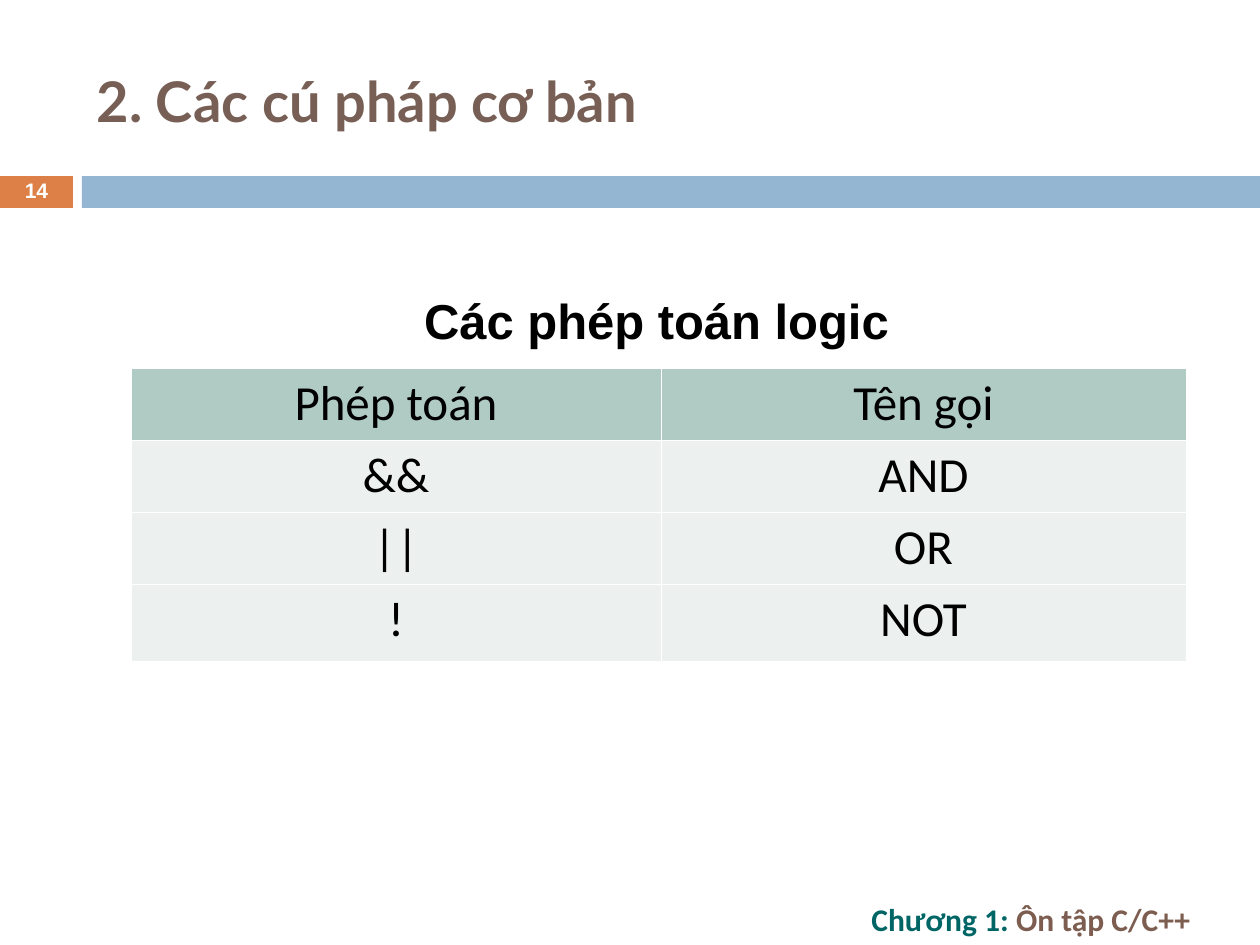
from lxml.etree import SubElement
from pptx import Presentation
from pptx.dml.color import RGBColor
from pptx.enum.shapes import MSO_SHAPE
from pptx.enum.text import MSO_ANCHOR, PP_ALIGN
from pptx.oxml.ns import qn
from pptx.util import Emu, Pt

PX = 914400 // 126

WHITE = RGBColor(0xFF, 0xFF, 0xFF)
BLACK = RGBColor(0x00, 0x00, 0x00)
ORANGE = RGBColor(0xDD, 0x80, 0x47)
BLUE = RGBColor(0x94, 0xB6, 0xD2)
BROWN = RGBColor(0x77, 0x5F, 0x55)
FOOTER_BROWN = RGBColor(0x7C, 0x5D, 0x50)
TEAL = RGBColor(0x00, 0x65, 0x65)
HEADER_GREEN = RGBColor(0xB0, 0xCA, 0xC4)
PALE_GREEN = RGBColor(0xEC, 0xF1, 0xF0)

TITLE = "2. Các cú pháp cơ bản"
PAGE_NUMBER = "14"
CAPTION = "Các phép toán logic"
OPERATORS = [
    ("Phép toán", "Tên gọi"),
    ("&&", "AND"),
    ("||", "OR"),
    ("!", "NOT"),
]
FOOTER = [("Chương 1: ", TEAL), ("Ôn tập C/C++", FOOTER_BROWN)]

# left, top, width, height in px
BANDS = [((0, 176, 73, 32), ORANGE), ((82, 176, 1178, 32), BLUE)]
PAGE_NUMBER_BOX = (0, 175, 73, 34)
TITLE_BOX = (84, 32, 1124, 136)
CAPTION_BOX = (126, 284, 1061, 72)
FOOTER_BOX = (859, 892, 401, 53)
TABLE_LEFT, TABLE_TOP = 131, 368
COLUMN_WIDTHS = [530, 525]
ROW_HEIGHTS = [72, 72, 72, 77]


def emu(lengths):
    return [Emu(length * PX) for length in lengths]


def style(paragraph, font_name, size, color=None, bold=True, align=PP_ALIGN.LEFT):
    paragraph.alignment = align
    font = paragraph.font
    font.name, font.size, font.bold = font_name, Pt(size), bold
    if color is not None:
        font.color.rgb = color


def add_band(slide, box, color):
    band = slide.shapes.add_shape(MSO_SHAPE.RECTANGLE, *emu(box))
    band.shadow.inherit = False
    band.fill.solid()
    band.fill.fore_color.rgb = color
    band.line.fill.background()


def add_text_frame(slide, box, anchor=MSO_ANCHOR.MIDDLE):
    frame = slide.shapes.add_textbox(*emu(box)).text_frame
    frame.word_wrap = True
    frame.vertical_anchor = anchor
    return frame


def add_borders(cell, color, width):
    properties = cell._tc.get_or_add_tcPr()
    for side in ("lnL", "lnR", "lnT", "lnB"):
        line = SubElement(properties, qn(f"a:{side}"), w=str(Pt(width)))
        fill = SubElement(line, qn("a:solidFill"))
        SubElement(fill, qn("a:srgbClr"), val=str(color))


def add_operator_table(slide):
    box = (TABLE_LEFT, TABLE_TOP, sum(COLUMN_WIDTHS), sum(ROW_HEIGHTS))
    table = slide.shapes.add_table(
        len(OPERATORS), len(COLUMN_WIDTHS), *emu(box)
    ).table
    for column, width in zip(table.columns, emu(COLUMN_WIDTHS)):
        column.width = width
    for row, height in zip(table.rows, emu(ROW_HEIGHTS)):
        row.height = height
    for r, labels in enumerate(OPERATORS):
        for c, label in enumerate(labels):
            cell = table.cell(r, c)
            cell.text = label
            style(cell.text_frame.paragraphs[0], "Calibri", 28, BLACK,
                  bold=False, align=PP_ALIGN.CENTER)
            add_borders(cell, WHITE, 0.45)
            cell.fill.solid()
            cell.fill.fore_color.rgb = HEADER_GREEN if r == 0 else PALE_GREEN


def main():
    presentation = Presentation()
    presentation.slide_width, presentation.slide_height = emu((1260, 945))
    slide = presentation.slides.add_slide(presentation.slide_layouts[5])

    for box, color in BANDS:
        add_band(slide, box, color)

    number = add_text_frame(slide, PAGE_NUMBER_BOX).paragraphs[0]
    number.text = PAGE_NUMBER
    number.line_spacing = 0.8
    style(number, "Arial", 12, WHITE, align=PP_ALIGN.CENTER)

    add_operator_table(slide)

    caption = add_text_frame(slide, CAPTION_BOX, MSO_ANCHOR.TOP).paragraphs[0]
    caption.text = CAPTION
    style(caption, "Arial", 28, BLACK, align=PP_ALIGN.CENTER)

    title = slide.shapes.title
    title.left, title.top, title.width, title.height = emu(TITLE_BOX)
    title.text_frame.text = TITLE
    title.text_frame.vertical_anchor = MSO_ANCHOR.MIDDLE
    style(title.text_frame.paragraphs[0], "Lato", 32, BROWN)

    footer = add_text_frame(slide, FOOTER_BOX).paragraphs[0]
    for text, color in FOOTER:
        run = footer.add_run()
        run.text = text
        run.font.color.rgb = color
    style(footer, "Calibri", 18)

    presentation.save("out.pptx")


if __name__ == "__main__":
    main()
